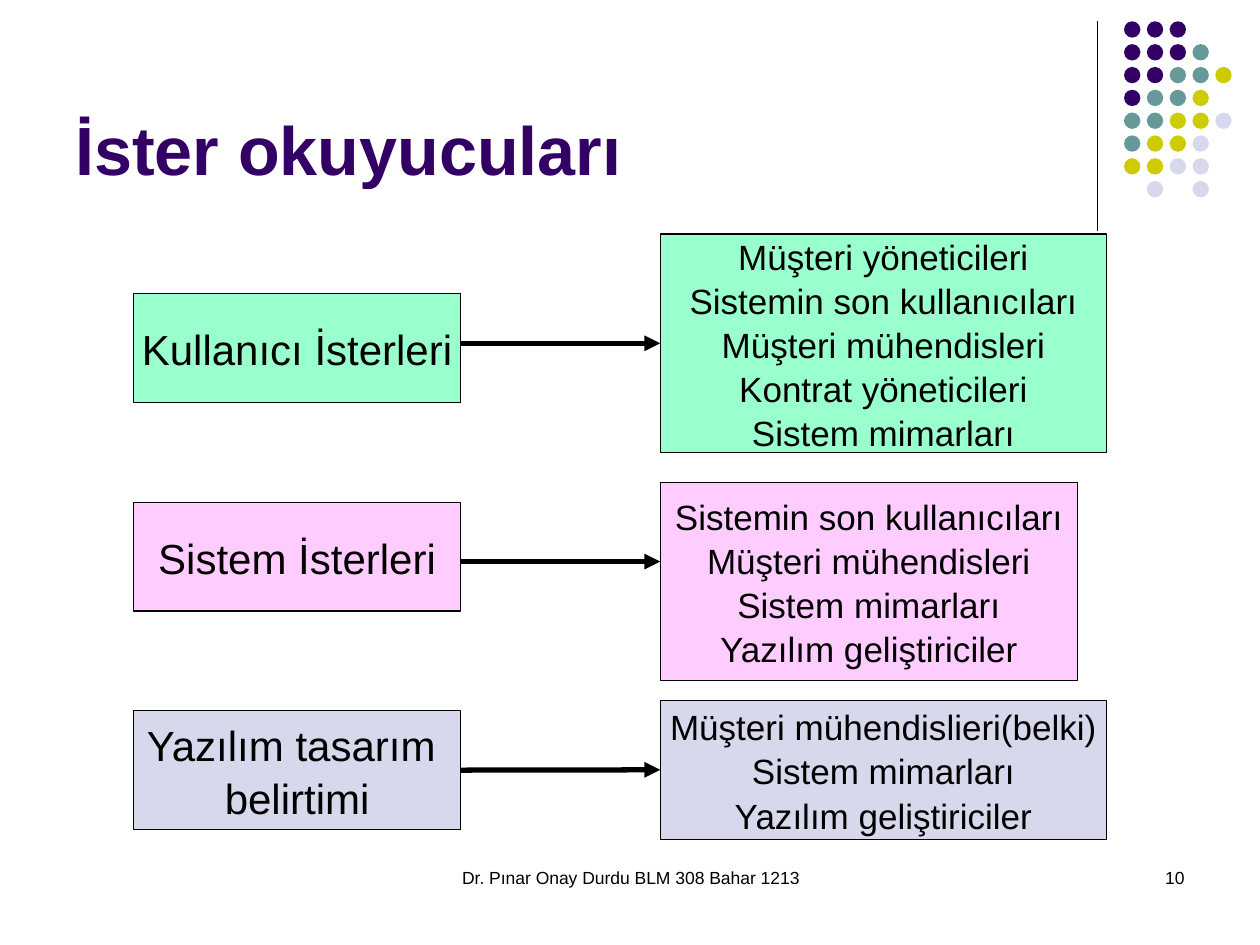
from dataclasses import dataclass

from lxml.etree import SubElement
from pptx import Presentation
from pptx.dml.color import RGBColor
from pptx.enum.shapes import MSO_CONNECTOR as Connector, MSO_SHAPE as Preset
from pptx.enum.text import MSO_ANCHOR as Anchor, PP_ALIGN as Align
from pptx.oxml.ns import qn
from pptx.util import Cm, Pt

FONT = "Arial"
BLACK = RGBColor(0x00, 0x00, 0x00)
PURPLE = RGBColor(0x33, 0x00, 0x66)
TEAL = RGBColor(0x66, 0x99, 0x99)
OLIVE = RGBColor(0xCC, 0xCC, 0x00)
LAVENDER = RGBColor(0xD8, 0xD8, 0xEC)
MINT = RGBColor(0x99, 0xFF, 0xCC)
PINK = RGBColor(0xFF, 0xCC, 0xFF)

DOT_COLORS = {"P": PURPLE, "T": TEAL, "O": OLIVE, "L": LAVENDER}
DOT_ROWS = ["PPP", "PPPT", "PPTTO", "PTTO", "TTOOL", "TOOL", "OOLL", " L L"]
DOT_LEFT, DOT_TOP, DOT_PITCH, DOT_SIZE = 22.66, 0.43, 0.46, 0.33

SOURCE_LEFT, SOURCE_WIDTH, READER_LEFT = 2.69, 6.6, 13.31
TOP, LEFT, BOTTOM, RIGHT = range(4)


@dataclass(frozen=True)
class Block:
    text: str
    top: float
    width: float
    height: float


@dataclass(frozen=True)
class Row:
    source: Block
    readers: Block
    color: RGBColor
    arrow_y: float
    joins_source: bool
    joins_readers: bool


ROWS = [
    Row(
        Block("Kullanıcı İsterleri", 5.92, SOURCE_WIDTH, 2.19),
        Block(
            "Müşteri yöneticileri\nSistemin son kullanıcıları\nMüşteri mühendisleri\n"
            "Kontrat yöneticileri\nSistem mimarları",
            4.72, 9, 4.4,
        ),
        MINT, 6.92, False, True,
    ),
    Row(
        Block("Sistem İsterleri", 10.13, SOURCE_WIDTH, 2.19),
        Block(
            "Sistemin son kullanıcıları\nMüşteri mühendisleri\n"
            "Sistem mimarları\nYazılım geliştiriciler",
            9.73, 8.41, 3.99,
        ),
        PINK, 11.32, False, False,
    ),
    Row(
        Block("Yazılım tasarım \nbelirtimi", 14.33, SOURCE_WIDTH, 2.39),
        Block(
            "Müşteri mühendislieri(belki)\nSistem mimarları\nYazılım geliştiriciler",
            14.12, 9, 2.8,
        ),
        LAVENDER, 15.52, True, True,
    ),
]


def write_text(box, text: str, *, size: float, color=BLACK, bold=False,
               align=Align.LEFT, anchor=Anchor.TOP, wrap=True, spacing=1.0) -> None:
    frame = box.text_frame
    frame.word_wrap = wrap
    frame.vertical_anchor = anchor
    for index, line in enumerate(text.split("\n")):
        para = frame.paragraphs[0] if index == 0 else frame.add_paragraph()
        para.alignment = align
        para.line_spacing = spacing
        span = para.add_run()
        span.text = line
        span.font.name = FONT
        span.font.size = Pt(size)
        span.font.bold = bold
        span.font.color.rgb = color


def add_label(page, text: str, left: float, top: float, width: float,
              height: float, **text_format):
    box = page.shapes.add_textbox(Cm(left), Cm(top), Cm(width), Cm(height))
    write_text(box, text, **text_format)
    return box


def add_block(page, block: Block, left: float, color: RGBColor, size: float):
    box = page.shapes.add_shape(
        Preset.RECTANGLE, Cm(left), Cm(block.top), Cm(block.width), Cm(block.height)
    )
    box.shadow.inherit = False
    box.fill.solid()
    box.fill.fore_color.rgb = color
    box.line.color.rgb = BLACK
    box.line.width = Pt(0.75)
    write_text(box, block.text, size=size, align=Align.CENTER,
               anchor=Anchor.MIDDLE, wrap=False, spacing=1.05)
    return box


def add_line(page, x1: float, y1: float, x2: float, y2: float,
             width: float, arrow: bool = False):
    line = page.shapes.add_connector(Connector.STRAIGHT, Cm(x1), Cm(y1), Cm(x2), Cm(y2))
    line.line.color.rgb = BLACK
    line.line.width = Pt(width)
    if arrow:
        SubElement(line.line._get_or_add_ln(), qn("a:tailEnd"), type="triangle")
    SubElement(line._element.spPr, qn("a:effectLst"))
    return line


def add_dots(page) -> None:
    for row, pattern in enumerate(DOT_ROWS):
        for column, key in enumerate(pattern):
            if key not in DOT_COLORS:
                continue
            dot = page.shapes.add_shape(
                Preset.OVAL, Cm(DOT_LEFT + column * DOT_PITCH),
                Cm(DOT_TOP + row * DOT_PITCH), Cm(DOT_SIZE), Cm(DOT_SIZE),
            )
            dot.shadow.inherit = False
            dot.fill.solid()
            dot.fill.fore_color.rgb = DOT_COLORS[key]
            dot.line.fill.background()


def add_row(page, row: Row) -> None:
    source = add_block(page, row.source, SOURCE_LEFT, row.color, 24)
    readers = add_block(page, row.readers, READER_LEFT, row.color, 20)
    arrow = add_line(page, SOURCE_LEFT + SOURCE_WIDTH, row.arrow_y,
                     READER_LEFT, row.arrow_y, 3, arrow=True)
    if row.joins_source:
        arrow.begin_connect(source, RIGHT)
    if row.joins_readers:
        arrow.end_connect(readers, LEFT)


def main() -> None:
    deck = Presentation()
    deck.slide_width, deck.slide_height = Cm(25.4), Cm(19.05)
    page = deck.slides.add_slide(deck.slide_layouts[6])
    add_line(page, 22.12, 0.43, 22.12, 4.65, 0.75)
    add_dots(page)
    add_label(page, "Dr. Pınar Onay Durdu BLM 308 Bahar 1213",
              8.69, 17.35, 8.05, 1.27, size=10, align=Align.CENTER)
    add_label(page, "10", 18.21, 17.35, 5.92, 1.27, size=10, align=Align.RIGHT)
    add_label(page, "İster okuyucuları", 1.27, 0.33, 20.96, 3.61,
              size=39, color=PURPLE, bold=True, anchor=Anchor.BOTTOM)
    for row in ROWS:
        add_row(page, row)
    deck.save("out.pptx")


if __name__ == "__main__":
    main()
